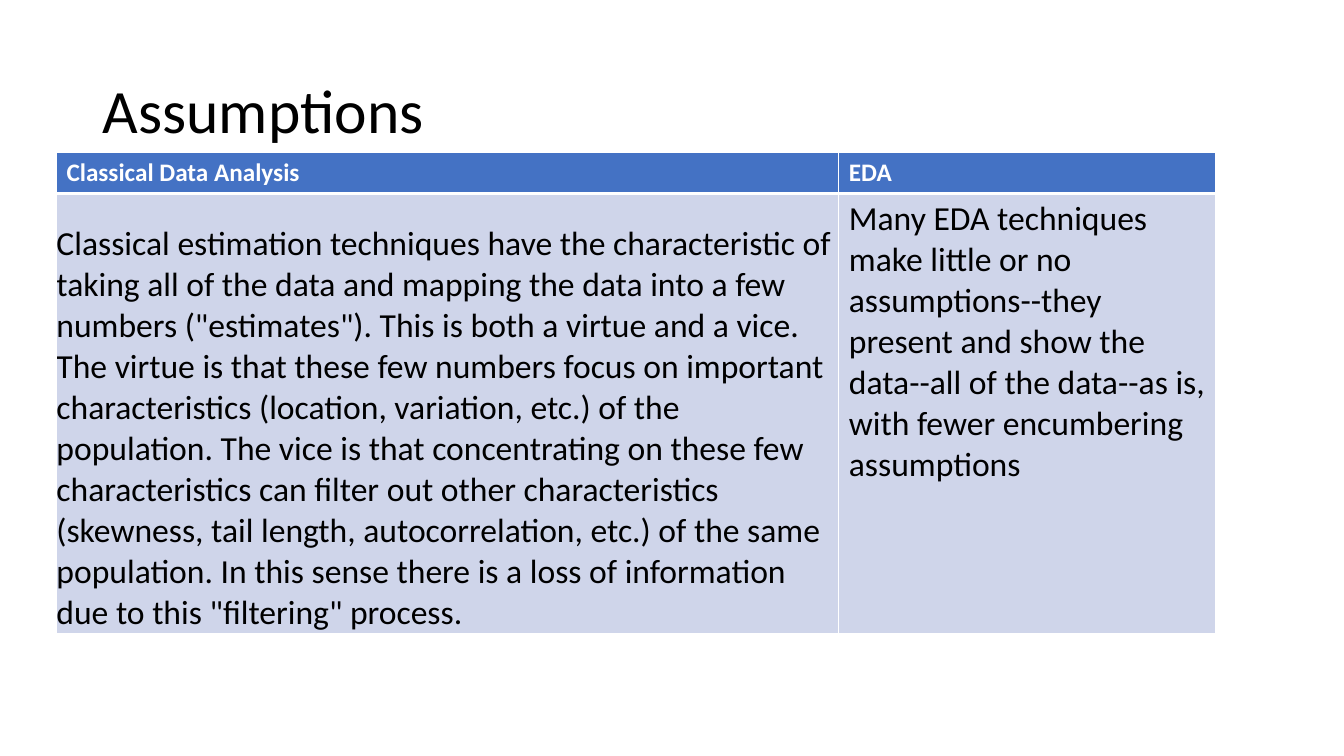
"""Build the Assumptions slide comparing classical data analysis with EDA."""
import pptx
import pptx.dml.color
import pptx.enum.text
import pptx.oxml
import pptx.oxml.ns
import pptx.util

Inches = pptx.util.Inches
Pt = pptx.util.Pt
COLOURS = {"text": "000000", "white": "FFFFFF", "header": "4472C4", "body": "CFD5EA"}

TOPICS = ["Classical Data Analysis", "EDA"]
ASSUMPTIONS = [
    "Classical estimation techniques have the characteristic of taking all of the data "
    "and mapping the data into a few numbers (\"estimates\"). This is both a virtue and a "
    "vice. The virtue is that these few numbers focus on important characteristics "
    "(location, variation, etc.) of the population. The vice is that concentrating on "
    "these few characteristics can filter out other characteristics (skewness, tail "
    "length, autocorrelation, etc.) of the same population. In this sense there is a loss "
    "of information due to this \"filtering\" process.",
    "Many EDA techniques make little or no assumptions--they present and show the "
    "data--all of the data--as is, with fewer encumbering assumptions",
]
ROW_FORMATS = [
    {"size": 18, "bold": True, "colour": "white", "fill": "header",
     "borders": {"L": 1, "R": 1, "T": 1, "B": 3}},
    {"size": 24, "bold": False, "colour": "text", "fill": "body",
     "borders": {"L": 1, "R": 1, "T": 3, "B": 1}},
]


def format_font(font, size, bold, colour):
    values = {"name": "Calibri", "size": Pt(size), "bold": bold}
    for attribute, value in values.items():
        setattr(font, attribute, value)
    font.color.rgb = pptx.dml.color.RGBColor.from_string(COLOURS[colour])


def add_borders(cell, widths):
    properties = cell._tc.get_or_add_tcPr()
    for position, (side, width) in enumerate(widths.items()):
        border = pptx.oxml.parse_xml(
            f'<a:ln{side} {pptx.oxml.ns.nsdecls("a")} w="{Pt(width)}"><a:solidFill>'
            f'<a:srgbClr val="{COLOURS["white"]}"/></a:solidFill></a:ln{side}>')
        properties.insert(position, border)


presentation = pptx.Presentation()
presentation.slide_width = Inches(13.33)
presentation.slide_height = Inches(7.5)
slide = presentation.slides.add_slide(presentation.slide_layouts[5])

heading = slide.shapes.title
heading_place = {"left": 0.92, "top": 0.4, "width": 11.5, "height": 1.45}
for attribute, value in heading_place.items():
    setattr(heading, attribute, Inches(value))
heading.text_frame.text = "Assumptions"
heading.text_frame.vertical_anchor = pptx.enum.text.MSO_ANCHOR.MIDDLE
heading_line = heading.text_frame.paragraphs[0]
heading_line.alignment = pptx.enum.text.PP_ALIGN.LEFT
heading_line.line_spacing = 0.9
format_font(heading_line.runs[0].font, 44, False, "text")

comparison = slide.shapes.add_table(
    2, 2, Inches(0.56), Inches(1.51), Inches(11.5), Inches(4.77)).table
for column, width in zip(comparison.columns, [7.76, 3.74]):
    column.width = Inches(width)
for row, height in zip(comparison.rows, [0.41, 4.36]):
    row.height = Inches(height)

for row, texts, style in zip(comparison.rows, [TOPICS, ASSUMPTIONS], ROW_FORMATS):
    for cell, text in zip(row.cells, texts):
        cell.text = text
        cell.fill.solid()
        cell.fill.fore_color.rgb = pptx.dml.color.RGBColor.from_string(COLOURS[style["fill"]])
        format_font(cell.text_frame.paragraphs[0].runs[0].font,
                    style["size"], style["bold"], style["colour"])
        add_borders(cell, style["borders"])

classical_margins = {"margin_left": 0, "margin_right": 0, "margin_top": 0.3, "margin_bottom": 0}
for attribute, value in classical_margins.items():
    setattr(comparison.cell(1, 0), attribute, Inches(value))

presentation.save("out.pptx")
